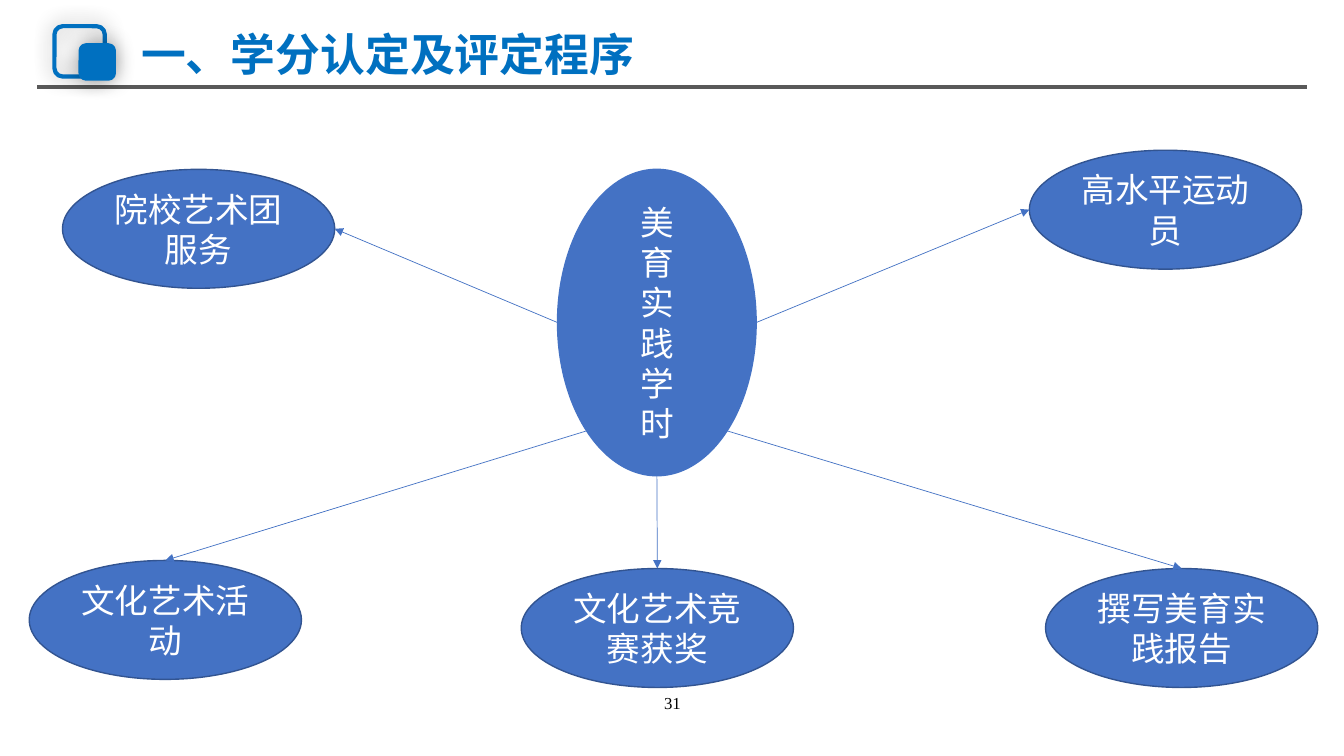
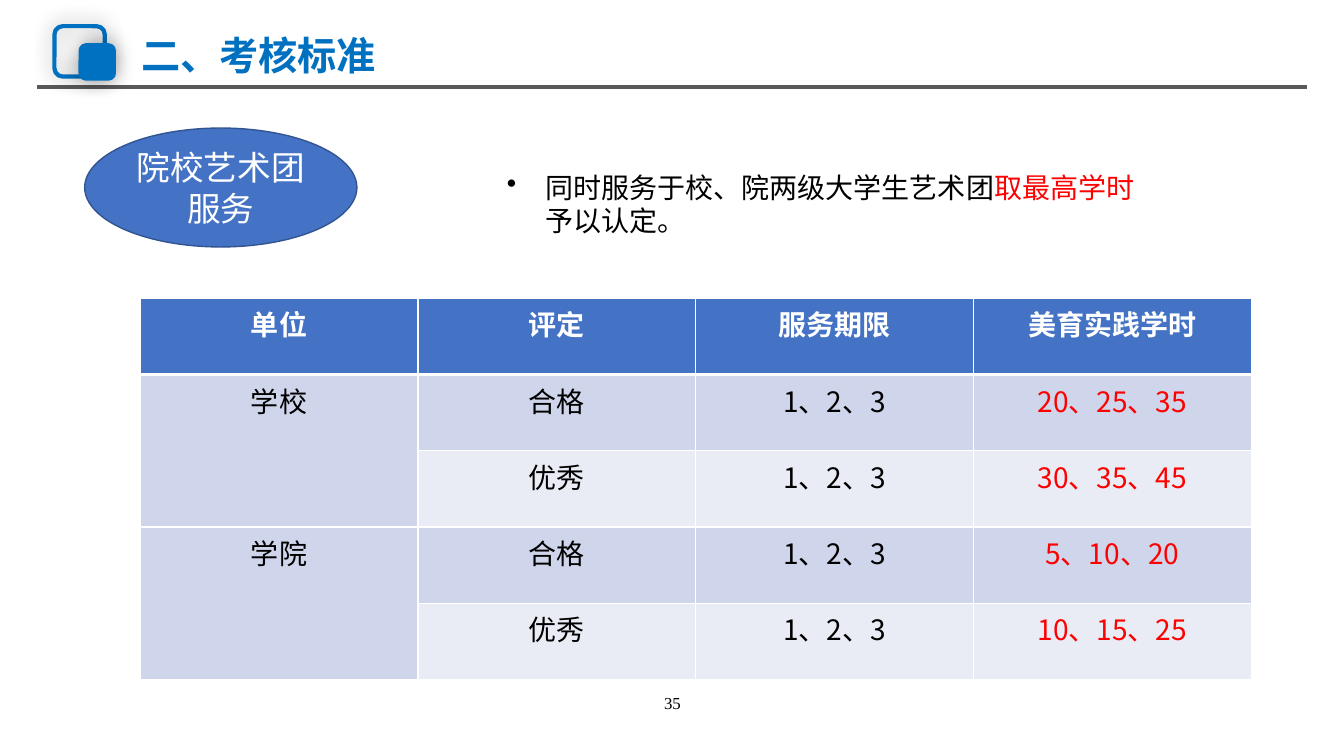
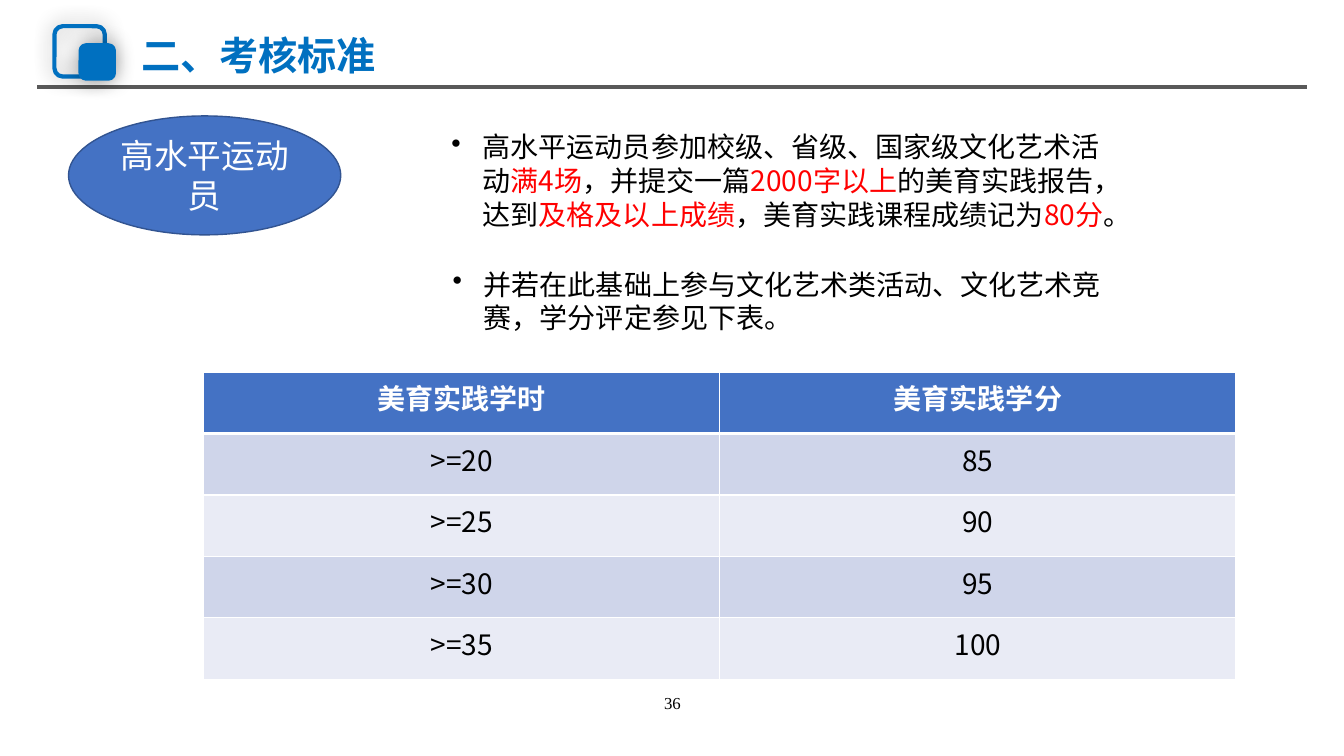
from math import cos, radians, sin

from lxml import etree
from pptx import Presentation
from pptx import util as u
from pptx.dml.color import RGBColor
from pptx.enum import shapes, text
from pptx.oxml.ns import qn

EMU_PER_PX = 9144
BRAND = RGBColor(0x00, 0x70, 0xC0)
RULE_GREY = RGBColor(0x59, 0x59, 0x59)
BLUE = RGBColor(0x44, 0x72, 0xC4)
OUTLINE = RGBColor(0x32, 0x54, 0x91)
BAND_DARK = RGBColor(0xCF, 0xD5, 0xEA)
BAND_LIGHT = RGBColor(0xE9, 0xEB, 0xF5)
WHITE = RGBColor(0xFF, 0xFF, 0xFF)
BLACK = RGBColor(0x00, 0x00, 0x00)
RED = RGBColor(0xFF, 0x00, 0x00)
CJK = "Noto Sans CJK SC"
TITLE_FONT = "Calibri"
NUMBER_FONT = "Times New Roman"
BUBBLE_SIZE = (270, 118)
TOP, LEFT, LOWER_LEFT, BOTTOM, LOWER_RIGHT, RIGHT = 0, 2, 3, 4, 5, 6


def px(*lengths):
    return [u.Emu(round(n * EMU_PER_PX)) for n in lengths]


def add_xml(parent, tag, **attributes):
    return etree.SubElement(parent, qn(tag), {k: str(v) for k, v in attributes.items()})


def style(paragraph, size, color, name=CJK, bold=False, align=text.PP_ALIGN.CENTER):
    paragraph.alignment = align
    font = paragraph.font
    font.size, font.bold, font.name = u.Pt(size), bold, name
    font.color.rgb = color
    add_xml(font._element, "a:ea", typeface=CJK)


def outline(shape, color, width):
    shape.line.color.rgb = color
    shape.line.width = u.Pt(width)


def add_line(slide, start, end, color, width):
    line = slide.shapes.add_connector(shapes.MSO_CONNECTOR.STRAIGHT, *start, *end)
    outline(line, color, width)
    add_xml(line._element.spPr, "a:effectLst")
    return line


def add_logo_square(slide, left, top, side, fill=None):
    square = slide.shapes.add_shape(
        shapes.MSO_SHAPE.ROUNDED_RECTANGLE, *px(left, top, side, side))
    if fill is None:
        square.fill.background()
    else:
        square.fill.solid()
        square.fill.fore_color.rgb = fill
    outline(square, BRAND, 3)
    square.shadow.inherit = False
    effects = square._element.spPr.find(qn("a:effectLst"))
    glow = add_xml(effects, "a:outerShdw", blurRad=u.Pt(15), dist=0, dir=0,
                   algn="ctr", rotWithShape=0)
    add_xml(add_xml(glow, "a:srgbClr", val=BLACK), "a:alpha", val=40000)
    return square


def move_header_to_layout(slide, layout):
    header = [
        add_line(slide, px(37, 86), px(1296, 86), RULE_GREY, 3),
        add_logo_square(slide, 54, 26, 50),
        add_logo_square(slide, 80, 45, 33, BRAND),
    ]
    for part in header:
        layout.shapes._spTree.append(part._element)


def add_slide(prs, heading, size, number):
    slide = prs.slides.add_slide(prs.slide_layouts[5])
    title = slide.shapes.title
    title.left, title.top, title.width, title.height = px(130, 32, 518, 50)
    frame = title.text_frame
    frame.text = heading
    frame.auto_size = text.MSO_AUTO_SIZE.NONE
    frame.vertical_anchor = text.MSO_ANCHOR.MIDDLE
    frame.paragraphs[0].line_spacing = 0.9
    style(frame.paragraphs[0], size, BRAND, TITLE_FONT, True, text.PP_ALIGN.LEFT)

    footer = slide.shapes.add_textbox(*px(517, 682, 300, 40)).text_frame
    footer.word_wrap = True
    footer.text = str(number)
    style(footer.paragraphs[0], 12, BLACK, NUMBER_FONT)
    return slide


def add_bubble(slide, label, left, top, size=BUBBLE_SIZE, edge=OUTLINE):
    bubble = slide.shapes.add_shape(shapes.MSO_SHAPE.OVAL, *px(left, top, *size))
    bubble.shadow.inherit = False
    bubble.fill.solid()
    bubble.fill.fore_color.rgb = BLUE
    outline(bubble, edge, 1)
    frame = bubble.text_frame
    frame.word_wrap = True
    frame.vertical_anchor = text.MSO_ANCHOR.MIDDLE
    frame.text = label
    for paragraph in frame.paragraphs:
        style(paragraph, 24, WHITE)
    return bubble


def site_point(bubble, site):
    turn = radians(45 * site)
    return (u.Emu(round(bubble.left + bubble.width / 2 * (1 - sin(turn)))),
            u.Emu(round(bubble.top + bubble.height / 2 * (1 - cos(turn)))))


def link(slide, source, source_site, target, target_site):
    arrow = add_line(slide, site_point(source, source_site),
                     site_point(target, target_site), BLUE, 0.5)
    add_xml(arrow.line._get_or_add_ln(), "a:tailEnd", type="triangle")
    glue = arrow._element.nvCxnSpPr.cNvCxnSpPr
    add_xml(glue, "a:stCxn", id=source.shape_id, idx=source_site)
    add_xml(glue, "a:endCxn", id=target.shape_id, idx=target_site)


def add_bullet(slide, left, top, width, height, indent, *pieces):
    frame = slide.shapes.add_textbox(*px(left, top, width, height)).text_frame
    frame.word_wrap = True
    frame.auto_size = text.MSO_AUTO_SIZE.SHAPE_TO_FIT_TEXT
    paragraph = frame.paragraphs[0]
    properties = paragraph._p.get_or_add_pPr()
    hang, = px(indent)
    properties.set("marL", str(hang))
    properties.set("indent", str(-hang))
    add_xml(properties, "a:buChar", char="•")
    style(paragraph, 20, BLACK, align=text.PP_ALIGN.LEFT)
    for index, piece in enumerate(pieces):
        run = paragraph.add_run()
        run.text = piece
        if index % 2:
            run.font.color.rgb = RED


def border_cell(cell, top_width, bottom_width):
    properties = cell._tc.get_or_add_tcPr()
    for side, width in zip("LRTB", (1, 1, top_width, bottom_width)):
        edge = add_xml(properties, f"a:ln{side}", w=u.Pt(width))
        add_xml(add_xml(edge, "a:solidFill"), "a:srgbClr", val=WHITE)


def add_grid(slide, left, top, width, height, rows, red_column=None):
    grid = slide.shapes.add_table(
        len(rows), len(rows[0]), *px(left, top, width, height)).table
    for r, row in enumerate(rows):
        is_header = r == 0
        for c, value in enumerate(row):
            cell = grid.cell(r, c)
            border_cell(cell, 3 if r == 1 else 1, 3 if is_header else 1)
            cell.fill.solid()
            cell.fill.fore_color.rgb = (
                BLUE if is_header else BAND_DARK if r % 2 else BAND_LIGHT)
            cell.text = value
            ink = WHITE if is_header else RED if c == red_column else BLACK
            style(cell.text_frame.paragraphs[0], 20, ink, bold=is_header)
    return grid


def build_overview(prs):
    slide = add_slide(prs, "一、学分认定及评定程序", 32, 31)
    move_header_to_layout(slide, prs.slide_layouts[5])
    hub = add_bubble(slide, "\n".join("美育实践学时"), 553, 168, (197, 304), BLUE)
    branches = [
        ("撰写美育实践报告", 1037, 564, LOWER_RIGHT, TOP),
        ("文化艺术活动", 29, 556, LOWER_LEFT, TOP),
        ("文化艺术竞赛获奖", 517, 564, BOTTOM, TOP),
        ("院校艺术团服务", 62, 168, LEFT, RIGHT),
        ("高水平运动员", 1021, 149, RIGHT, LEFT),
    ]
    for label, left, top, hub_site, branch_site in branches:
        branch = add_bubble(slide, label, left, top)
        link(slide, hub, hub_site, branch, branch_site)


def build_troupe_standard(prs):
    slide = add_slide(prs, "二、考核标准", 28, 35)
    add_bubble(slide, "院校艺术团服务", 84, 127)
    years = "1、2、3"
    grid = add_grid(slide, 139, 296, 1102, 378, [
        ("单位", "评定", "服务期限", "美育实践学时"),
        ("学校", "合格", years, "20、25、35"),
        ("", "优秀", years, "30、35、45"),
        ("学院", "合格", years, "5、10、20"),
        ("", "优秀", years, "10、15、25"),
    ], red_column=3)
    for first in (1, 3):
        grid.cell(first, 0).merge(grid.cell(first + 1, 0))
    add_bullet(slide, 493, 164, 667, 77, 38,
               "同时服务于校、院两级大学生艺术团", "取最高学时", "予以认定。")


def build_athlete_standard(prs):
    slide = add_slide(prs, "二、考核标准", 28, 36)
    add_bubble(slide, "高水平运动员", 68, 115)
    add_bullet(slide, 438, 124, 667, 145, 31,
               "高水平运动员参加校级、省级、国家级文化艺术活动", "满4场",
               "，并提交一篇", "2000字以上", "的美育实践报告，达到",
               "及格及以上成绩", "，美育实践课程成绩记为", "80分", "。")
    add_grid(slide, 202, 369, 1024, 305, [
        ("美育实践学时", "美育实践学分"),
        (">=20", "85"),
        (">=25", "90"),
        (">=30", "95"),
        (">=35", "100"),
    ])
    add_bullet(slide, 439, 260, 666, 77, 31,
               "并若在此基础上参与文化艺术类活动、文化艺术竞赛，学分评定参见下表。")


def main():
    prs = Presentation()
    prs.slide_width, prs.slide_height = px(1333, 750)
    build_overview(prs)
    build_troupe_standard(prs)
    build_athlete_standard(prs)
    prs.save("out.pptx")


if __name__ == "__main__":
    main()
